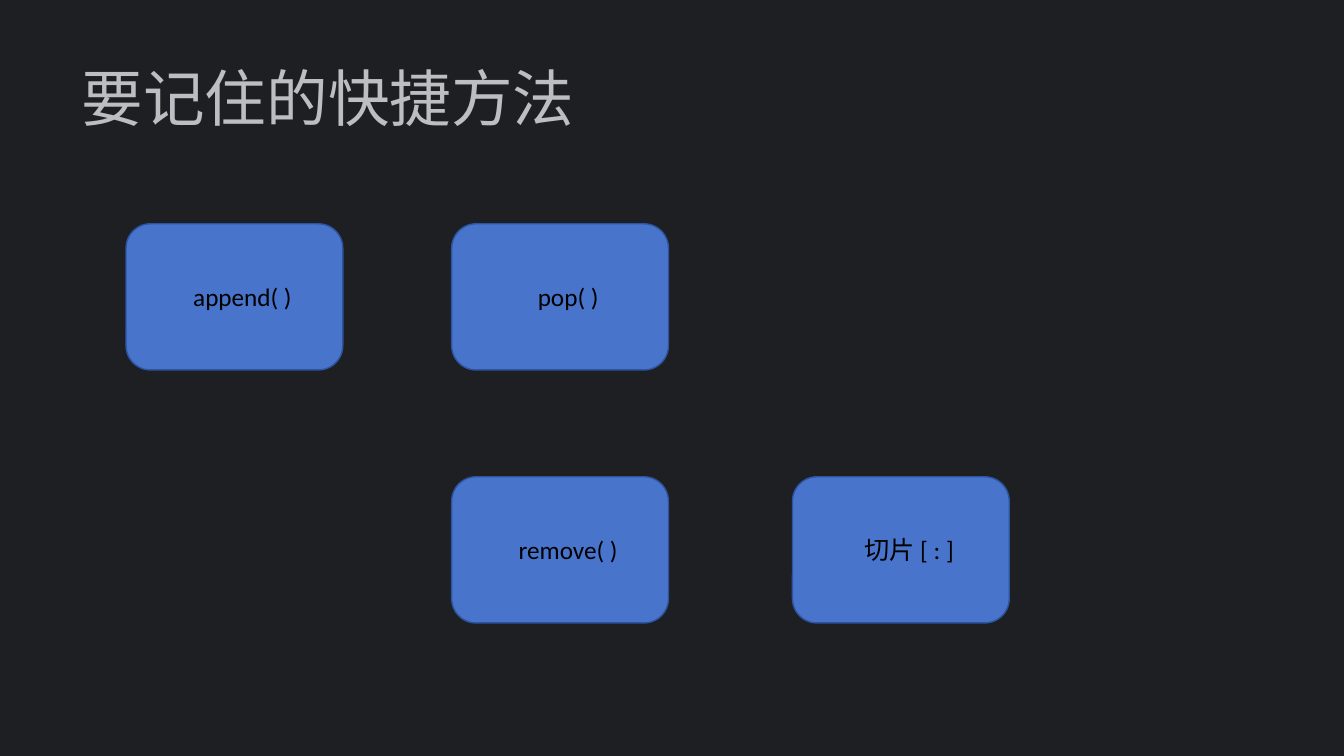
from dataclasses import dataclass

from lxml import etree
from pptx import Presentation
from pptx import util as u
from pptx.dml.color import RGBColor
from pptx.enum import shapes, text
from pptx.oxml.ns import qn


@dataclass
class Theme:
    back: str = "1E1F22"
    head: str = "BCBEC4"
    fill: str = "4874CB"
    edge: str = "2E54A1"
    ink: str = "000000"
    big: int = 44
    body: int = 18
    latin: str = "Calibri"
    asian: str = "Noto Sans CJK SC"


theme = Theme()


def box(left, top, width, height):
    return [u.Inches(n) for n in (left, top, width, height)]


def style(para, font, size, color, align):
    para.alignment = align
    for run in para.runs:
        run.font.name = font
        run.font.size = u.Pt(size)
        run.font.color.rgb = RGBColor.from_string(color)
        # East Asian glyphs need their own typeface
        asian = etree.SubElement(run.font._element, qn("a:ea"))
        asian.set("typeface", theme.asian)


# Slide and background
deck = Presentation()
deck.slide_width, deck.slide_height = u.Inches(13.33), u.Inches(7.5)
slide = deck.slides.add_slide(deck.slide_layouts[5])
slide.background.fill.solid()
slide.background.fill.fore_color.rgb = RGBColor.from_string(theme.back)

# Title
title = slide.shapes.title
title.left, title.top, title.width, title.height = box(0.71, 0.28, 11.5, 1.45)
frame = title.text_frame
frame.text = "要记住的快捷方法"
frame.auto_size = text.MSO_AUTO_SIZE.NONE
frame.vertical_anchor = text.MSO_ANCHOR.MIDDLE
frame.paragraphs[0].line_spacing = 0.9
style(frame.paragraphs[0], theme.asian, theme.big, theme.head, text.PP_ALIGN.LEFT)

# Method cards on a grid: column, row, wording
cols, rows = (1.25, 4.48, 7.86), (2.22, 4.73)
wide, high = 2.15, 1.45
inset, drop = 0.16, 0.52
cards = [
    (0, 0, "append( )"),
    (1, 0, "pop( )"),
    (1, 1, "remove( )"),
    (2, 1, "切片 [ : ]"),
]
for col, row, name in cards:
    left, top = cols[col], rows[row]
    group = slide.shapes.add_group_shape()

    # Card
    card = group.shapes.add_shape(
        shapes.MSO_SHAPE.ROUNDED_RECTANGLE, *box(left, top, wide, high))
    card.shadow.inherit = False
    card.fill.solid()
    card.fill.fore_color.rgb = RGBColor.from_string(theme.fill)
    card.line.color.rgb = RGBColor.from_string(theme.edge)
    card.line.width = u.Pt(1)

    # Label
    label = group.shapes.add_textbox(
        *box(left + inset, top + drop, wide - inset, 0.4))
    frame = label.text_frame
    frame.word_wrap = True
    frame.auto_size = text.MSO_AUTO_SIZE.SHAPE_TO_FIT_TEXT
    frame.text = name
    style(frame.paragraphs[0], theme.latin, theme.body, theme.ink,
          text.PP_ALIGN.CENTER)

deck.save("out.pptx")
